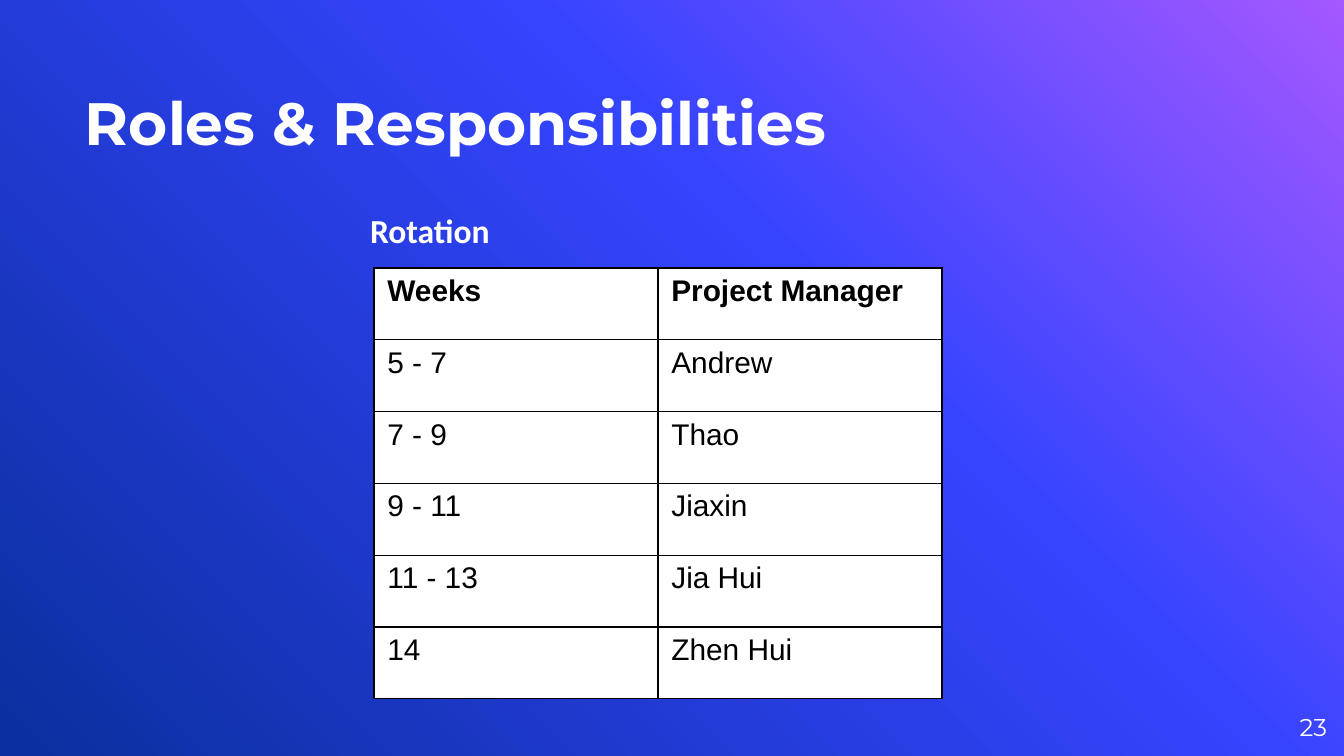
"""Build the Roles & Responsibilities slide with its project manager rotation table."""
from copy import deepcopy

from lxml.etree import SubElement
from pptx import Presentation
from pptx.dml.color import RGBColor
from pptx.enum.text import MSO_ANCHOR as Anchor, PP_ALIGN as Align
from pptx.oxml.ns import qn
from pptx.util import Emu, Pt

PX_PER_INCH = 134.4
WHITE, BLACK = "FFFFFF", "000000"
GRADIENT = [(0, "A458FF"), (0.39, "3544FF"), (1, "0A2F9E")]
ROTATION = [
    ("Weeks", "Project Manager"),
    ("5 - 7", "Andrew"),
    ("7 - 9", "Thao"),
    ("9 - 11", "Jiaxin"),
    ("11 - 13", "Jia Hui"),
    ("14", "Zhen Hui"),
]


def px(length):
    return Emu(round(length * 914400 / PX_PER_INCH))


def color(hex_code):
    return RGBColor.from_string(hex_code)


def add_run(paragraph, text, size, font, ink, bold=False):
    run = paragraph.add_run()
    run.text = text
    run.font.size = Pt(size)
    run.font.name = font
    run.font.bold = bold
    run.font.color.rgb = color(ink)


def paint_background(slide):
    fill = slide.background.fill
    fill.gradient()
    fill.gradient_angle = 225
    stop_list = slide.element.find(".//" + qn("a:gsLst"))
    stop_list.append(deepcopy(stop_list[-1]))
    for stop, (position, hue) in zip(fill.gradient_stops, GRADIENT):
        stop.position = position
        stop.color.rgb = color(hue)


def add_label(slide, box, text, size, font, bold=False, anchor=Anchor.TOP, align=Align.LEFT):
    frame = slide.shapes.add_textbox(*map(px, box)).text_frame
    frame.word_wrap = True
    frame.vertical_anchor = anchor
    frame.margin_left = frame.margin_right = frame.margin_top = frame.margin_bottom = 0
    paragraph = frame.paragraphs[0]
    paragraph.alignment = align
    add_run(paragraph, text, size, font, WHITE, bold)
    return paragraph


def outline_cell(cell, ink, width):
    properties = cell._tc.get_or_add_tcPr()
    for position, side in enumerate(("lnL", "lnR", "lnT", "lnB")):
        border = SubElement(properties, qn(f"a:{side}"), w=str(Pt(width)))
        properties.insert(position, border)
        SubElement(SubElement(border, qn("a:solidFill")), qn("a:srgbClr"), val=ink)


def add_rotation_table(slide, box):
    table = slide.shapes.add_table(len(ROTATION), len(ROTATION[0]), *map(px, box)).table
    table.horz_banding = False
    for row, entries in enumerate(ROTATION):
        for column, entry in enumerate(entries):
            cell = table.cell(row, column)
            cell.fill.solid()
            cell.fill.fore_color.rgb = color(WHITE)
            outline_cell(cell, BLACK, 0.75)
            add_run(cell.text_frame.paragraphs[0], entry, 16, "Arial", BLACK, bold=row == 0)


def main():
    deck = Presentation()
    deck.slide_width, deck.slide_height = px(1344), px(756)
    slide = deck.slides.add_slide(deck.slide_layouts[6])
    paint_background(slide)
    add_label(slide, (85, 31, 942, 126), "Roles & Responsibilities", 32, "Montserrat",
              bold=True, anchor=Anchor.BOTTOM)
    subtitle = add_label(slide, (370, 204, 671, 470), "Rotation", 18, "Calibri", bold=True)
    subtitle.line_spacing = 1.15
    subtitle.space_before = Pt(6)
    add_label(slide, (1246, 698, 81, 58), "23", 13, "Montserrat",
              anchor=Anchor.MIDDLE, align=Align.RIGHT)
    add_rotation_table(slide, (374, 268, 568, 431))
    deck.save("out.pptx")


if __name__ == "__main__":
    main()
